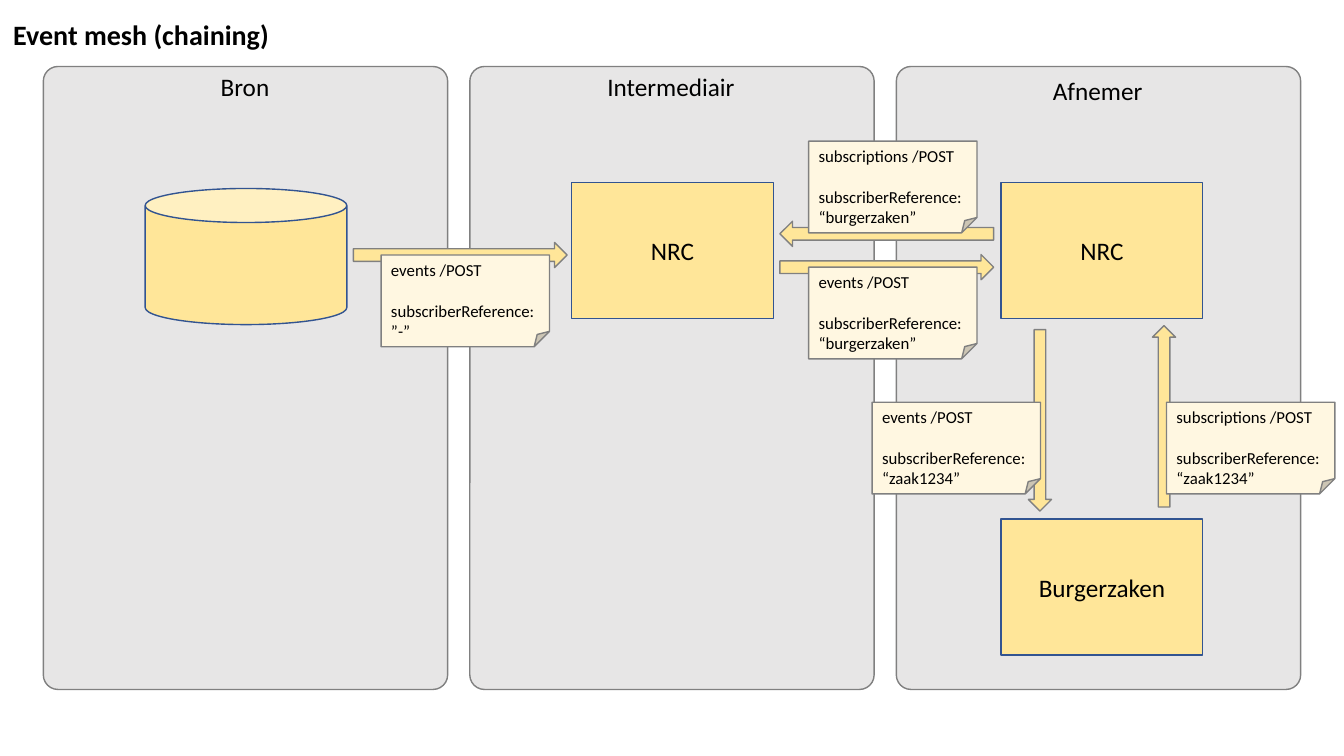
import pptx
import pptx.dml.color
import pptx.enum.shapes
import pptx.enum.text
import pptx.util

SHAPE = pptx.enum.shapes.MSO_SHAPE
ALIGN = pptx.enum.text.PP_ALIGN
ANCHOR = pptx.enum.text.MSO_ANCHOR
FIT = pptx.enum.text.MSO_AUTO_SIZE


def color(value):
    return pptx.dml.color.RGBColor.from_string(value)


def apply(obj, values):
    for name, value in values.items():
        setattr(obj, name, value)


class Deck:
    """Draws styled elements on a slide divided into a grid of 133.3 columns by 75 rows."""

    columns, rows = 133.3, 75
    panel, accent, note, ink = "E7E6E6", "FFE699", "FFF7E1", "000000"
    grey, blue = "808080", "325491"

    def __init__(self):
        self.prs = pptx.Presentation()
        apply(self.prs, {"slide_width": pptx.util.Inches(13.33),
                         "slide_height": pptx.util.Inches(7.5)})
        self.s = self.prs.slides.add_slide(self.prs.slide_layouts[5])

    def place(self, left, top, width, height):
        col = self.prs.slide_width / self.columns
        row = self.prs.slide_height / self.rows
        return [round(n) for n in (left * col, top * row, width * col, height * row)]

    def add_text(self, sp, lines, size, frame, para, bold=False):
        tf = sp.text_frame
        apply(tf, frame)
        for i, line in enumerate(lines):
            p = tf.paragraphs[0] if i == 0 else tf.add_paragraph()
            apply(p, para)
            if i:
                p.space_before = pptx.util.Pt(14.65)
            r = p.add_run()
            r.text = line
            apply(r.font, {"name": "Calibri", "size": pptx.util.Pt(size), "bold": bold})
            r.font.color.rgb = color(self.ink)

    def shape(self, kind, at, fill, line, parent=None):
        sp = (parent or self.s).shapes.add_shape(kind, *self.place(*at))
        sp.shadow.inherit = False
        sp.fill.solid()
        sp.fill.fore_color.rgb = color(fill)
        sp.line.color.rgb = color(line)
        sp.line.width = pptx.util.Pt(1)
        return sp

    def title(self, text, at):
        sp = self.s.shapes.title
        apply(sp, dict(zip(("left", "top", "width", "height"), self.place(*at))))
        self.add_text(sp, [text], 20,
                      {"vertical_anchor": ANCHOR.MIDDLE, "auto_size": FIT.NONE, "word_wrap": True},
                      {"alignment": ALIGN.LEFT, "line_spacing": 0.9}, bold=True)

    def lane(self, left):
        sp = self.shape(SHAPE.ROUNDED_RECTANGLE, (left, 6.6, 40.1, 61.8), self.panel, self.grey)
        sp.adjustments[0] = 0.036

    def label(self, text, center, top, width):
        sp = self.s.shapes.add_textbox(*self.place(center - width / 2, top, width, 4))
        self.add_text(sp, [text], 18, {"word_wrap": False, "auto_size": FIT.SHAPE_TO_FIT_TEXT},
                      {"alignment": ALIGN.LEFT})

    def store(self, left, top):
        self.shape(SHAPE.CAN, (left, top, 20, 13.5), self.accent, self.blue)

    def system(self, text, left, top):
        sp = self.shape(SHAPE.RECTANGLE, (left, top, 20, 13.5), self.accent, self.blue)
        self.add_text(sp, [text], 18, {"vertical_anchor": ANCHOR.MIDDLE, "word_wrap": True},
                      {"alignment": ALIGN.CENTER})

    def message(self, lines, note_at, arrow_center, arrow_size, rotation):
        group = self.s.shapes.add_group_shape()
        (x, y), (width, length) = arrow_center, arrow_size
        arrow = self.shape(SHAPE.DOWN_ARROW, (x - width / 2, y - length / 2, width, length),
                           self.accent, self.grey, group)
        arrow.rotation = rotation
        note = self.shape(SHAPE.FOLDED_CORNER, (*note_at, 16.7, 9.1), self.note, self.grey, group)
        self.add_text(note, lines, 12, {"vertical_anchor": ANCHOR.TOP, "word_wrap": True},
                      {"alignment": ALIGN.LEFT})


def main():
    deck = Deck()
    deck.title("Event mesh (chaining)", (0.3, 0.4, 39, 6.4))

    lanes = [("Bron", 6.6, 6.9), ("Intermediair", 6.6, 14.8), ("Afnemer", 7, 11)]
    lefts = [4.3 + 42.3 * i for i in range(len(lanes))]
    for left in lefts:
        deck.lane(left)
    for left, (text, top, width) in zip(lefts, lanes):
        deck.label(text, left + 20.05, top, width)

    deck.store(14.4, 18.7)
    for text, left, top in (("NRC", 56.7, 18.1), ("NRC", 99.3, 18.1), ("Burgerzaken", 99.3, 51.5)):
        deck.system(text, left, top)

    across, down = (2.5, 21.2), (2.3, 18)
    subscribe, event = "subscriptions /POST", "events /POST"
    citizen = "subscriberReference: “burgerzaken”"
    case = "subscriberReference: “zaak1234”"
    messages = [
        (subscribe, citizen, (80.2, 14), (87.95, 23.2), across, 90),
        (subscribe, case, (115.7, 39.9), (115.45, 41.3), down, 180),
        (event, case, (86.5, 39.9), (103.15, 41.7), down, 0),
        (event, citizen, (80.2, 26.5), (87.95, 26.5), across, 270),
        (event, "subscriberReference:”-”", (37.8, 25.3), (45.65, 25.3), across, 270),
    ]
    for request, reference, *geometry in messages:
        deck.message([request, reference], *geometry)

    deck.prs.save("out.pptx")


if __name__ == "__main__":
    main()
